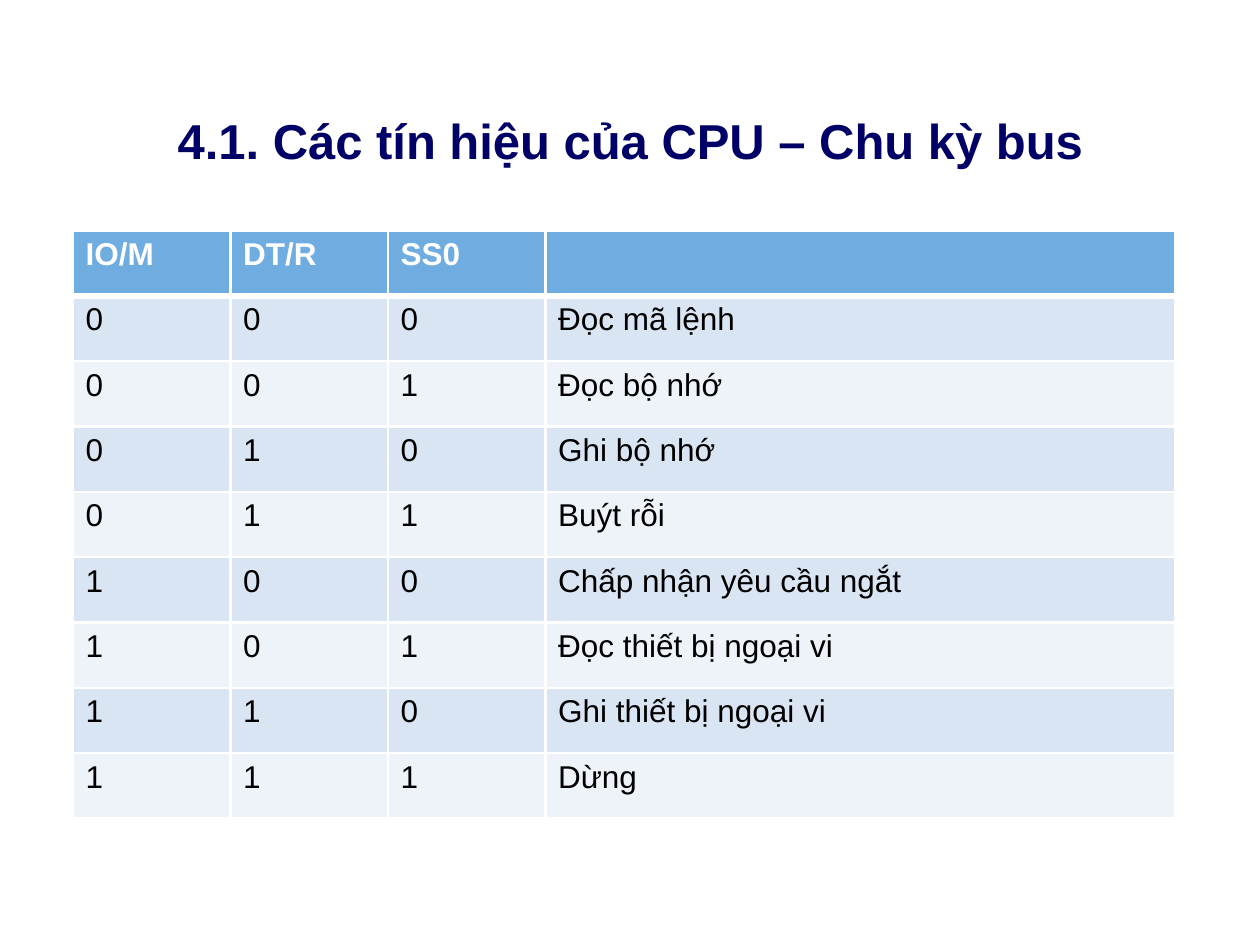
"""Build the slide on the bus cycle signals of a processor."""
from lxml.etree import fromstring
from pptx import Presentation
from pptx.dml.color import RGBColor as Rgb
from pptx.oxml.ns import nsdecls
from pptx.util import Inches as In, Pt

INK = {"title": "000066", "head": "6FADE1", "odd": "DAE5F4",
       "even": "EEF2F9", "text": "000000", "white": "FFFFFF"}
HEAD = ["IO/M", "DT/R", "SS0", ""]
CYCLES = ["Đọc mã lệnh", "Đọc bộ nhớ", "Ghi bộ nhớ", "Buýt rỗi",
          "Chấp nhận yêu cầu ngắt", "Đọc thiết bị ngoại vi",
          "Ghi thiết bị ngoại vi", "Dừng"]
ROWS = [HEAD] + [[*format(n, "03b"), name] for n, name in enumerate(CYCLES)]
COLS = [1.25, 1.25, 1.25, 5]
HIGH = 4.67


def style(para, size, tint, bold, gap):
    para.space_before = Pt(gap)
    for run in para.runs:
        font = run.font
        font.name, font.size, font.bold = "Arial", Pt(size), bold
        font.color.rgb = Rgb.from_string(INK[tint])


def edge(cell, side, place, width):
    line = fromstring(
        f'<a:{side} {nsdecls("a")} w="{Pt(width)}"><a:solidFill>'
        f'<a:srgbClr val="{INK["white"]}"/></a:solidFill></a:{side}>')
    cell._tc.get_or_add_tcPr().insert(place, line)


deck = Presentation()
deck.slide_width, deck.slide_height = In(10), In(7.5)
slide = deck.slides.add_slide(deck.slide_layouts[6])

box = slide.shapes.add_textbox(In(1.41), In(0.87), In(7.27), In(0.49))
frame = box.text_frame
frame.word_wrap = True
frame.margin_left = frame.margin_right = frame.margin_bottom = 0
frame.margin_top = In(0.01)
frame.text = "4.1. Các tín hiệu của CPU – Chu kỳ bus"
style(frame.paragraphs[0], 28, "title", True, 1)

grid = slide.shapes.add_table(len(ROWS), len(COLS), In(0.58), In(1.83),
                              In(sum(COLS)), In(HIGH)).table
for col, width in zip(grid.columns, COLS):
    col.width = In(width)

for r, row in enumerate(ROWS):
    grid.rows[r].height = In(HIGH / len(ROWS))
    band = "head" if r == 0 else "odd" if r % 2 else "even"
    for c, text in enumerate(row):
        cell = grid.cell(r, c)
        cell.margin_left, cell.margin_top = In(0.1), In(0.05)
        cell.margin_right = cell.margin_bottom = 0
        cell.fill.solid()
        cell.fill.fore_color.rgb = Rgb.from_string(INK[band])
        cell.text_frame.text = text
        style(cell.text_frame.paragraphs[0], 18,
              "text" if r else "white", r == 0, 3.6)
        sides = {"lnL": 1.5, "lnR": 1.5, "lnT": 4.25 if r == 1 else 1.5,
                 "lnB": 1.5 if r else 4.25}
        for place, (side, width) in enumerate(sides.items()):
            edge(cell, side, place, width)

deck.save("out.pptx")
